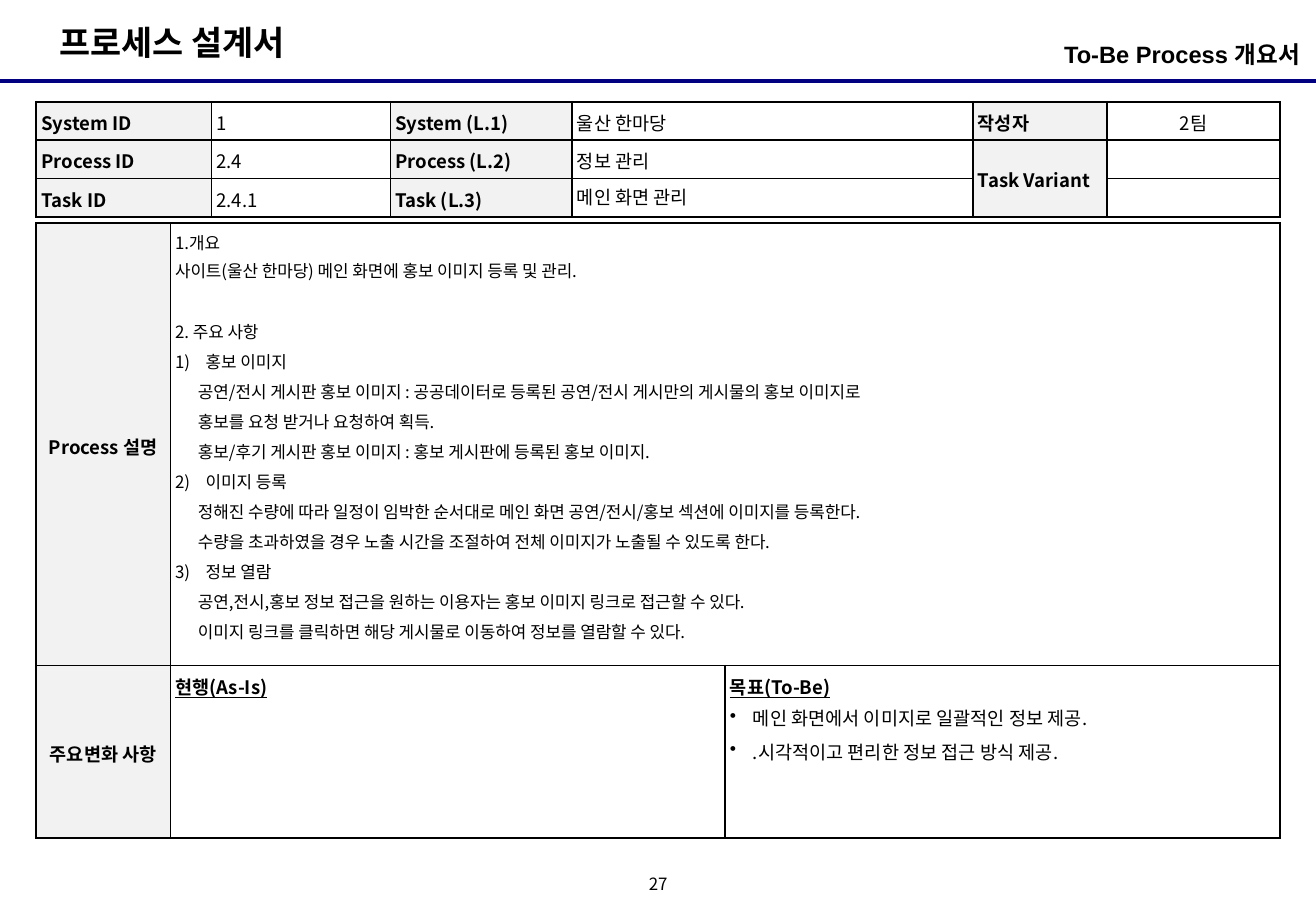
from lxml import etree
from pptx import Presentation
from pptx import util as u
from pptx.dml.color import RGBColor
from pptx.enum import shapes, text
from pptx.oxml import ns

BLACK = RGBColor(0x00, 0x00, 0x00)
WHITE = RGBColor(0xFF, 0xFF, 0xFF)
NAVY = RGBColor(0x00, 0x00, 0x80)
LABEL_GRAY = RGBColor(0xF2, 0xF2, 0xF2)
KOREAN = "Noto Sans CJK KR"
LEFT, CENTER, RIGHT = text.PP_ALIGN.LEFT, text.PP_ALIGN.CENTER, text.PP_ALIGN.RIGHT
TOP, MIDDLE = text.MSO_ANCHOR.TOP, text.MSO_ANCHOR.MIDDLE
BOLD = dict(bold=True)
BODY = dict(size=10)
DETAIL = dict(size=10, indent=0.48)
BULLET = dict(bullet="•", indent=0.48)
HEADING = dict(bold=True, underline=True)

SUMMARY = [
    ["System ID", "1", "System (L.1)", "울산 한마당", "작성자", "2팀"],
    ["Process ID", "2.4", "Process (L.2)", "정보 관리", "Task Variant", ""],
    ["Task ID", "2.4.1", "Task (L.3)", "메인 화면 관리", "", ""],
]


def item(number):
    """Return the format of a numbered item."""
    return dict(size=10, indent=0.64, number=number)


DESCRIPTION = [
    ("1.개요", BODY),
    ("사이트(울산 한마당) 메인 화면에 홍보 이미지 등록 및 관리.", BODY),
    ("2. 주요 사항", dict(size=10, before=19)),
    ("홍보 이미지", item(1)),
    ("공연/전시 게시판 홍보 이미지 : 공공데이터로 등록된 공연/전시 게시만의 게시물의 홍보 이미지로", DETAIL),
    ("홍보를 요청 받거나 요청하여 획득.", DETAIL),
    ("홍보/후기 게시판 홍보 이미지 : 홍보 게시판에 등록된 홍보 이미지.", DETAIL),
    ("이미지 등록", item(2)),
    ("정해진 수량에 따라 일정이 임박한 순서대로 메인 화면 공연/전시/홍보 섹션에 이미지를 등록한다.", DETAIL),
    ("수량을 초과하였을 경우 노출 시간을 조절하여 전체 이미지가 노출될 수 있도록 한다.", DETAIL),
    ("정보 열람", item(3)),
    ("공연,전시,홍보 정보 접근을 원하는 이용자는 홍보 이미지 링크로 접근할 수 있다.", DETAIL),
    ("이미지 링크를 클릭하면 해당 게시물로 이동하여 정보를 열람할 수 있다.", DETAIL),
]
GOALS = [
    ("목표(To-Be)", HEADING),
    ("메인 화면에서 이미지로 일괄적인 정보 제공.", BULLET),
    (".시각적이고 편리한 정보 접근 방식 제공.", BULLET),
]


def add_xml(parent, tag, **attrs):
    """Append a drawing element and return it."""
    return etree.SubElement(parent, ns.qn(tag), {k: str(v) for k, v in attrs.items()})


def write(tf, content, first=True, size=11, font=KOREAN, bold=False, underline=False,
          align=LEFT, spacing=1.1, before=None, indent=0, bullet=None, number=None):
    """Write one formatted paragraph into a text frame."""
    p = tf.paragraphs[0] if first else tf.add_paragraph()
    p.alignment, p.line_spacing = align, spacing
    if not first:
        p.space_before = u.Pt(size * 0.1 if before is None else before)
        p.space_after = u.Pt(size * 0.1)
    pPr = p._p.get_or_add_pPr()
    if indent:
        pPr.set("marL", str(u.Cm(indent)))
    if bullet or number:
        pPr.set("indent", str(-u.Cm(indent)))
    if bullet:
        add_xml(pPr, "a:buChar", char=bullet)
    if number:
        add_xml(pPr, "a:buAutoNum", type="arabicParenR", startAt=number)
    if not content:
        add_xml(p._p, "a:endParaRPr", sz=size * 100)
        return
    r = p.add_run()
    r.text = content
    r.font.size, r.font.name = u.Pt(size), font
    r.font.bold, r.font.underline = bold, underline
    r.font.color.rgb = BLACK
    add_xml(r._r.get_or_add_rPr(), "a:ea", typeface=KOREAN)


def add_label(slide, content, left, top, width, height, margins=(0.25, 0.13),
              wrap=False, anchor=TOP, **fmt):
    """Add a text box with one paragraph."""
    tf = slide.shapes.add_textbox(u.Cm(left), u.Cm(top), u.Cm(width), u.Cm(height)).text_frame
    tf.word_wrap, tf.vertical_anchor = wrap, anchor
    tf.margin_left = tf.margin_right = u.Cm(margins[0])
    tf.margin_top = tf.margin_bottom = u.Cm(margins[1])
    write(tf, content, **fmt)


def add_rule(slide, y, width):
    """Add the navy line below the header."""
    sp = slide.shapes.add_connector(shapes.MSO_CONNECTOR.STRAIGHT, 0, u.Cm(y), width, u.Cm(y))
    sp.line.color.rgb, sp.line.width = NAVY, u.Pt(2.25)
    add_xml(sp._element.spPr, "a:effectLst")


def add_grid(slide, top, widths, heights):
    """Add an unstyled table and return it."""
    frame = slide.shapes.add_table(len(heights), len(widths), u.Cm(0.76), u.Cm(top),
                                   u.Cm(sum(widths)), u.Cm(sum(heights)))
    table = frame.table
    table.first_row = table.horz_banding = False
    for column, width in zip(table.columns, widths):
        column.width = u.Cm(width)
    for row, height in zip(table.rows, heights):
        row.height = u.Cm(height)
    return table


def set_borders(table, row, col):
    """Draw heavy lines on the table edge and thin ones inside."""
    cell = table.cell(row, col)
    edges = {
        "a:lnL": col == 0,
        "a:lnR": col + cell.span_width == len(table.columns),
        "a:lnT": row == 0,
        "a:lnB": row + cell.span_height == len(table.rows),
    }
    for tag, outer in edges.items():
        ln = add_xml(cell._tc.get_or_add_tcPr(), tag, w=u.Pt(1.5 if outer else 1))
        add_xml(add_xml(ln, "a:solidFill"), "a:srgbClr", val=BLACK)


def set_cell(table, row, col, lines, color=WHITE, anchor=TOP):
    """Fill one cell with paragraphs, borders and colour."""
    cell = table.cell(row, col)
    set_borders(table, row, col)
    cell.fill.solid()
    cell.fill.fore_color.rgb = color
    cell.vertical_anchor = anchor
    cell.margin_left = cell.margin_right = u.Cm(0.1)
    cell.margin_top = cell.margin_bottom = u.Cm(0.09)
    for i, (content, fmt) in enumerate(lines):
        write(cell.text_frame, content, first=i == 0, **fmt)


def add_summary(slide):
    """Add the table of identifiers."""
    table = add_grid(slide, 2.13, [3.66, 3.74, 3.8, 8.38, 2.8, 3.62], [0.8] * 3)
    table.cell(1, 4).merge(table.cell(2, 4))
    for row, values in enumerate(SUMMARY):
        for col, value in enumerate(values):
            label = col % 2 == 0
            fmt = dict(bold=label, align=CENTER if col == 5 else LEFT,
                       spacing=1 if (row, col) == (2, 3) else 1.1)
            set_cell(table, row, col, [(value, fmt)], LABEL_GRAY if label else WHITE,
                     MIDDLE if col > 3 else TOP)


def add_details(slide):
    """Add the table of description and changes."""
    table = add_grid(slide, 4.67, [2.8, 11.6, 11.6], [9.25, 3.6])
    table.cell(0, 1).merge(table.cell(0, 2))
    for row, label in enumerate(["Process 설명", "주요변화 사항"]):
        set_cell(table, row, 0, [(label, dict(BOLD, align=CENTER))], LABEL_GRAY, MIDDLE)
    set_cell(table, 0, 1, DESCRIPTION)
    set_cell(table, 0, 2, [("", BODY)])
    set_cell(table, 1, 1, [("현행(As-Is)", HEADING)])
    set_cell(table, 1, 2, GOALS)


def main():
    """Build the slide and save it."""
    prs = Presentation()
    prs.slide_width, prs.slide_height = u.Cm(27.51), u.Cm(19.05)
    slide = prs.slides.add_slide(prs.slide_layouts[6])
    add_rule(slide, 1.7, prs.slide_width)
    add_label(slide, "프로세스 설계서", 0.99, 0.33, 5.74, 1.12, size=20, bold=True, spacing=1)
    add_label(slide, "27", 13.34, 18.21, 0.84, 0.64, margins=(0, 0), anchor=MIDDLE,
              size=10, align=CENTER, spacing=0.8)
    add_summary(slide)
    add_details(slide)
    add_label(slide, "To-Be Process 개요서", 18.77, 0.71, 8.41, 0.99, margins=(0, 0.13),
              wrap=True, size=14, font="Arial", bold=True, align=RIGHT, spacing=1)
    prs.save("out.pptx")


if __name__ == "__main__":
    main()
